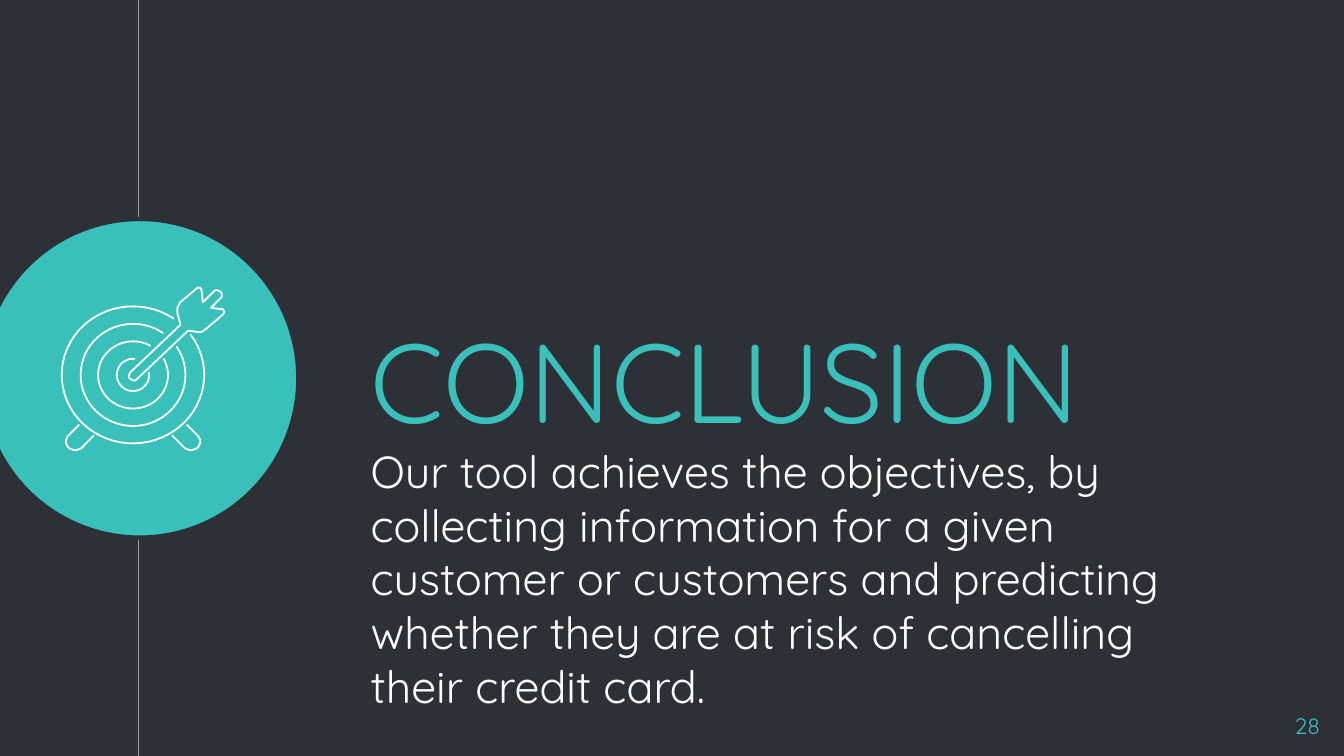
import math
import pptx
import pptx.util
import pptx.dml.color
import pptx.enum.shapes
import pptx.enum.text
import pptx.oxml.ns
import lxml.etree

Inches = pptx.util.Inches
Pt = pptx.util.Pt
ALIGN = pptx.enum.text.PP_ALIGN
ANCHOR = pptx.enum.text.MSO_ANCHOR

WIDTH = 10
HEIGHT = WIDTH * 9 / 16
DARK, TEAL, GREY, WHITE = "2E3037", "39C0BA", "999FA9", "FFFFFF"
FONT = "Quicksand"

# Icon measures, in inches from the corner of its box
HUB = (0.53, 0.65)
# Each ring: radius across, radius down, start and end of its gap in degrees
RINGS = [(0.53, 0.51, 36, 55), (0.39, 0.38, 34, 55),
         (0.26, 0.25, 29, 60), (0.12, 0.12, 10, 83)]
FOOT = [(0.13, 1.02), (0.05, 1.1), (0.04, 1.11), (0.04, 1.12), (0.03, 1.13),
        (0.03, 1.14), (0.03, 1.16), (0.04, 1.17), (0.04, 1.18), (0.05, 1.19),
        (0.06, 1.2), (0.07, 1.2), (0.09, 1.21), (0.1, 1.21), (0.11, 1.21),
        (0.13, 1.2), (0.14, 1.2), (0.15, 1.19), (0.23, 1.11), (0.24, 1.1)]
DART = [(1.18, 0.16), (1.11, 0.15), (1.18, 0.08), (1.19, 0.07), (1.19, 0.04),
        (1.18, 0.03), (1.16, 0.02), (1.14, 0.02), (1.13, 0.03), (1.05, 0.11),
        (1.04, 0.02), (1.03, 0), (1.01, 0), (1, 0.01), (0.88, 0.11),
        (0.87, 0.13), (0.86, 0.15), (0.86, 0.19), (0.88, 0.26), (0.88, 0.28),
        (0.51, 0.63), (0.5, 0.65), (0.5, 0.67), (0.51, 0.68), (0.53, 0.69),
        (0.55, 0.69), (0.56, 0.68), (0.94, 0.32), (1.01, 0.33), (1.04, 0.33),
        (1.07, 0.31), (1.2, 0.2), (1.21, 0.18), (1.2, 0.16)]


def color(code):
    return pptx.dml.color.RGBColor.from_string(code)


def stroke(shape, code, width):
    shape.line.color.rgb = color(code)
    shape.line.width = Pt(width)


def add_rule(slide, x, top, bottom):
    rule = slide.shapes.add_connector(
        pptx.enum.shapes.MSO_CONNECTOR.STRAIGHT,
        Inches(x), Inches(top), Inches(x), Inches(bottom))
    stroke(rule, GREY, 0.75)
    lxml.etree.SubElement(rule._element.spPr,
                          pptx.oxml.ns.qn("a:effectLst"))


def add_disc(slide, box):
    disc = slide.shapes.add_shape(pptx.enum.shapes.MSO_SHAPE.OVAL,
                                  *map(Inches, box))
    disc.shadow.inherit = False
    disc.fill.solid()
    disc.fill.fore_color.rgb = color(TEAL)
    stroke(disc, DARK, 2.25)


def add_text(slide, box, text, size, code, align=ALIGN.LEFT,
             anchor=ANCHOR.TOP, before=0):
    frame = slide.shapes.add_textbox(*map(Inches, box)).text_frame
    frame.word_wrap = True
    frame.vertical_anchor = anchor
    frame.margin_left = frame.margin_right = Inches(0.1)
    frame.margin_top = frame.margin_bottom = Inches(0.1)
    para = frame.paragraphs[0]
    para.alignment = align
    para.space_before = Pt(before)
    run = para.add_run()
    run.text = text
    run.font.name = FONT
    run.font.size = Pt(size)
    run.font.color.rgb = color(code)


def arc(across, down, low, high):
    """Points of a ring that is open at the upper right, from low to high."""
    steps = 60
    sweep = 360 - (high - low)
    turns = [math.radians(-low + sweep * i / steps) for i in range(steps + 1)]
    return [(HUB[0] + across * math.cos(t), HUB[1] + down * math.sin(t))
            for t in turns]


def add_path(slide, left, top, points, close=False):
    spots = [(Inches(left + x), Inches(top + y)) for x, y in points]
    pen = slide.shapes.build_freeform(*spots[0])
    pen.add_line_segments(spots[1:], close=close)
    shape = pen.convert_to_shape()
    shape.shadow.inherit = False
    shape.fill.background()
    stroke(shape, WHITE, 0.96)


def add_target(slide, left, top):
    for ring in RINGS:
        add_path(slide, left, top, arc(*ring))
    add_path(slide, left, top, FOOT)
    add_path(slide, left, top, [(2 * HUB[0] - x, y) for x, y in FOOT])
    add_path(slide, left, top, DART, close=True)


def main():
    deck = pptx.Presentation()
    deck.slide_width, deck.slide_height = Inches(WIDTH), Inches(HEIGHT)
    slide = deck.slides.add_slide(deck.slide_layouts[6])
    slide.background.fill.solid()
    slide.background.fill.fore_color.rgb = color(DARK)

    add_rule(slide, 1.03, 0, HEIGHT)
    add_disc(slide, (-0.14, 1.63, 2.36, 2.37))
    add_text(slide, (2.66, 2.18, 6.59, 1.27), "CONCLUSION", 60, TEAL,
             anchor=ANCHOR.MIDDLE)
    add_text(slide, (2.66, 3.2, 6.59, 0.86),
             "Our tool achieves the objectives, by collecting information "
             "for a given customer or customers and predicting whether they "
             "are at risk of cancelling their credit card.",
             24, WHITE, before=6)
    add_text(slide, (9.32, 5.2, 0.6, 0.34), "28", 12, TEAL, ALIGN.RIGHT)
    add_target(slide, 0.46, 2.14)
    deck.save("out.pptx")


if __name__ == "__main__":
    main()
